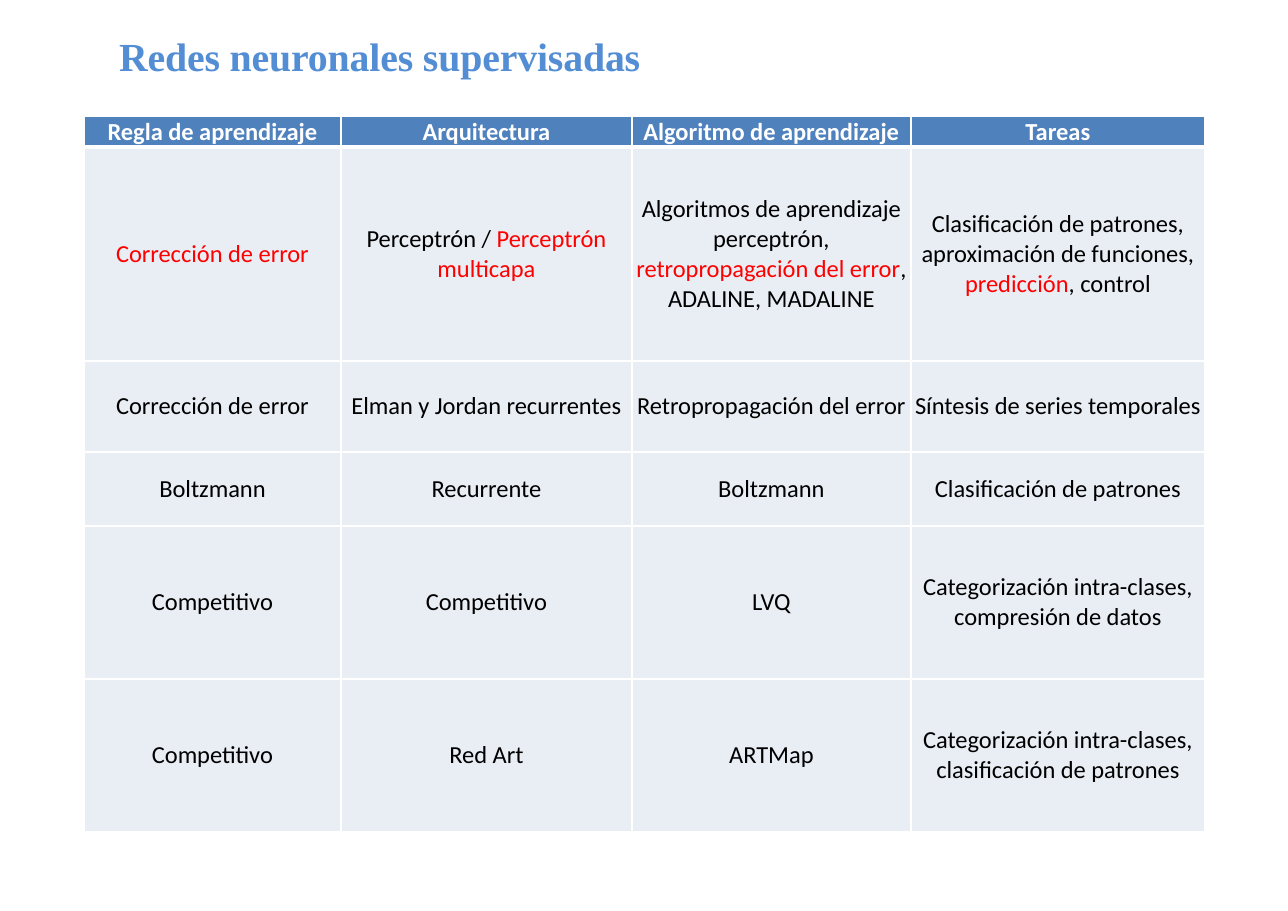
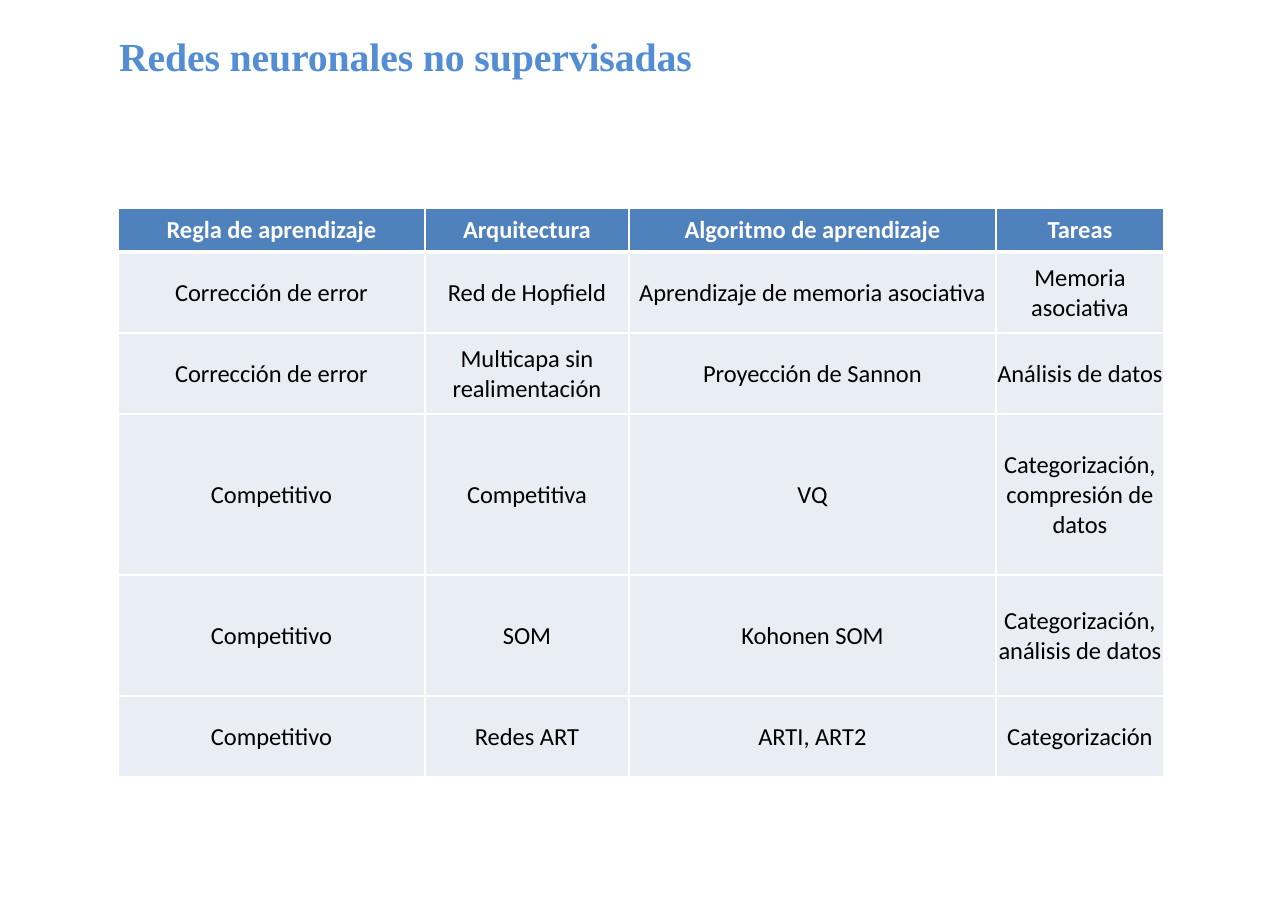
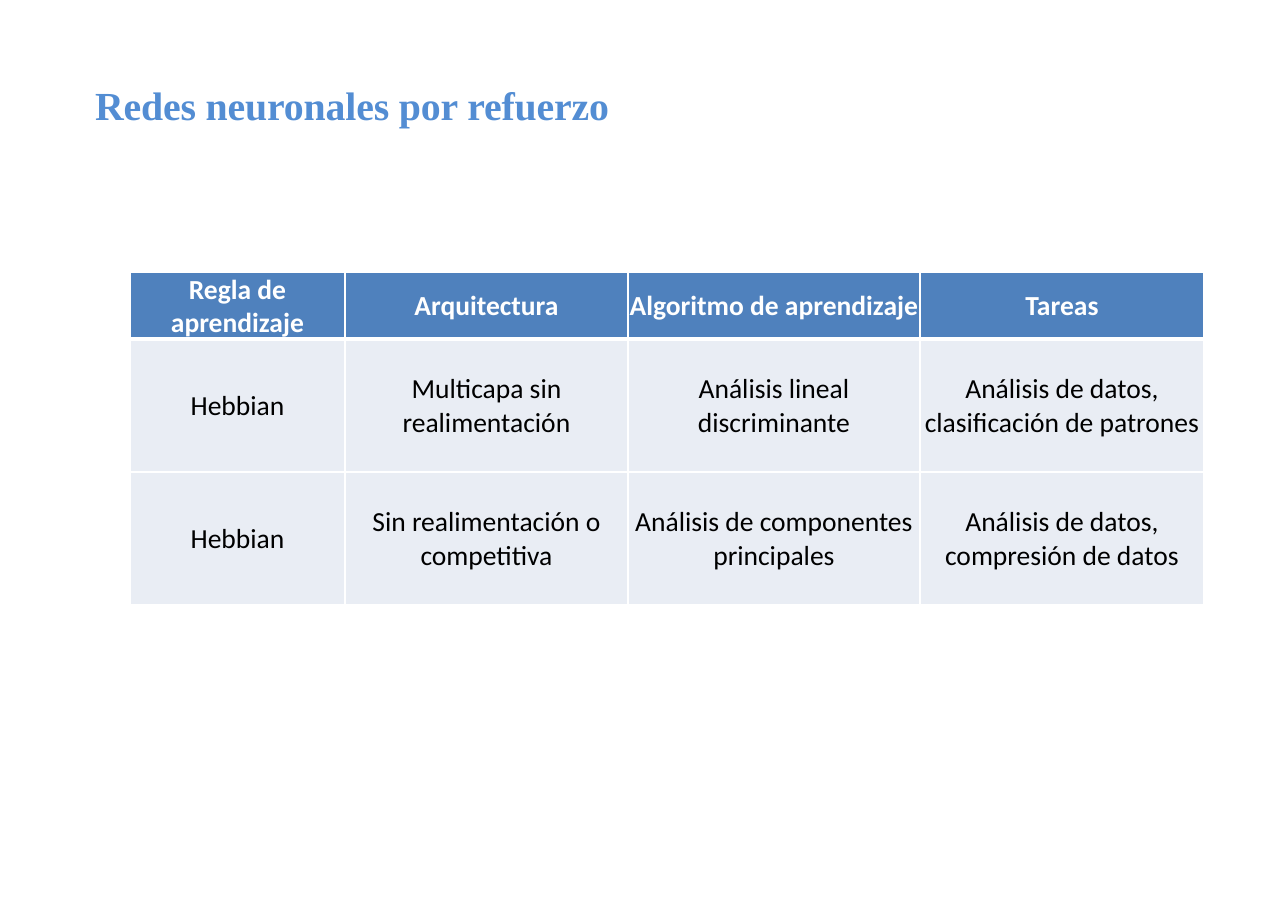
"""Build three slides with tables of neural network learning rules."""
from dataclasses import dataclass

from lxml.etree import SubElement
from pptx import Presentation
from pptx.dml.color import RGBColor as Color
from pptx.enum.text import MSO_ANCHOR as Anchor, PP_ALIGN as Align
from pptx.oxml.ns import qn
from pptx.util import Pt

SCALE = 8298
SLIDE_SIZE = (1288, 911)
TITLE_SIZE = (1047, 50)
HEADER = ("Regla de aprendizaje", "Arquitectura", "Algoritmo de aprendizaje", "Tareas")

SLIDES = [
    {
        "title": "Redes neuronales supervisadas",
        "title_at": (118, 30),
        "table_at": (84, 116),
        "columns": (257, 291, 279, 294),
        "heights": (31, 214, 91, 74, 153, 153),
        "size": 16,
        "inset": 0,
        "header_anchor": Anchor.BOTTOM,
        "rows": [
            ("*Corrección de error*",
             "Perceptrón / *Perceptrón multicapa*",
             "Algoritmos de aprendizaje perceptrón, *retropropagación del error*, ADALINE, MADALINE",
             "Clasificación de patrones, aproximación de funciones, *predicción*, control"),
            ("Corrección de error", "Elman y Jordan recurrentes",
             "Retropropagación del error", "Síntesis de series temporales"),
            ("Boltzmann", "Recurrente", "Boltzmann", "Clasificación de patrones"),
            ("Competitivo", "Competitivo", "LVQ",
             "Categorización intra-clases, compresión de datos"),
            ("Competitivo", "Red Art", "ARTMap",
             "Categorización intra-clases, clasificación de patrones"),
        ],
    },
    {
        "title": "Redes neuronales no supervisadas",
        "title_at": (118, 30),
        "table_at": (118, 208),
        "columns": (307, 204, 367, 168),
        "heights": (44, 81, 81, 161, 121, 81),
        "size": 16,
        "inset": 1,
        "header_anchor": Anchor.MIDDLE,
        "rows": [
            ("Corrección de error", "Red de Hopfield",
             "Aprendizaje de memoria asociativa", "Memoria asociativa"),
            ("Corrección de error", "Multicapa sin realimentación",
             "Proyección de Sannon", "Análisis de datos"),
            ("Competitivo", "Competitiva", "VQ", "Categorización, compresión de datos"),
            ("Competitivo", "SOM", "Kohonen SOM", "Categorización, análisis de datos"),
            ("Competitivo", "Redes ART", "ARTI, ART2", "Categorización"),
        ],
    },
    {
        "title": "Redes neuronales por refuerzo",
        "title_at": (94, 79),
        "table_at": (130, 272),
        "columns": (215, 283, 292, 284),
        "heights": (67, 133, 133),
        "size": 18,
        "inset": 1,
        "header_anchor": Anchor.MIDDLE,
        "rows": [
            ("Hebbian", "Multicapa sin realimentación",
             "Análisis lineal discriminante", "Análisis de datos, clasificación de patrones"),
            ("Hebbian", "Sin realimentación o competitiva",
             "Análisis de componentes principales", "Análisis de datos, compresión de datos"),
        ],
    },
]


@dataclass(frozen=True)
class Theme:
    """Colours, fonts and sizes shared by the slides."""
    title_font: str = "Times New Roman"
    title_size: int = 26
    title_color: str = "538DD3"
    title_spacing: str = "-10"
    table_font: str = "Calibri"
    header_fill: str = "4F81BD"
    header_text: str = "FFFFFF"
    body_fill: str = "E9EDF4"
    body_text: str = "000000"
    highlight: str = "FF0000"
    border: str = "FFFFFF"
    thin: int = 1
    thick: int = 3


THEME = Theme()


def px(*lengths):
    """Turn pixel lengths into a list of EMU."""
    return [length * SCALE for length in lengths]


def add_run(paragraph, text, font_name, size, color, bold):
    """Append one formatted run and return it."""
    run = paragraph.add_run()
    run.text = text
    run.font.name = font_name
    run.font.size = Pt(size)
    run.font.bold = bold
    run.font.color.rgb = Color.from_string(color)
    return run


def add_title(slide, text, position):
    """Add the slide title."""
    frame = slide.shapes.add_textbox(*px(*position, *TITLE_SIZE)).text_frame
    frame.word_wrap = True
    frame.margin_left, frame.margin_top, frame.margin_right, frame.margin_bottom = px(1, 2, 0, 0)
    run = add_run(frame.paragraphs[0], text, THEME.title_font,
                  THEME.title_size, THEME.title_color, True)
    run.font._element.set("spc", THEME.title_spacing)


def set_borders(cell, top, bottom):
    """Draw the four borders of a cell, with widths in points."""
    properties = cell._tc.get_or_add_tcPr()
    widths = {"lnL": THEME.thin, "lnR": THEME.thin, "lnT": top, "lnB": bottom}
    for tag, width in widths.items():
        line = SubElement(properties, qn(f"a:{tag}"), w=str(Pt(width)))
        fill = SubElement(line, qn("a:solidFill"))
        SubElement(fill, qn("a:srgbClr"), val=THEME.border)


def fill_cell(cell, text, row_index, content):
    """Style a cell and write its text, with starred parts highlighted."""
    is_header = row_index == 0
    set_borders(cell, THEME.thick if row_index == 1 else THEME.thin,
                THEME.thick if is_header else THEME.thin)
    cell.fill.solid()
    cell.fill.fore_color.rgb = Color.from_string(
        THEME.header_fill if is_header else THEME.body_fill)
    cell.vertical_anchor = content["header_anchor"] if is_header else Anchor.MIDDLE
    cell.margin_left = cell.margin_top = cell.margin_right = content["inset"] * SCALE
    cell.margin_bottom = 0
    paragraph = cell.text_frame.paragraphs[0]
    paragraph.alignment = Align.CENTER
    plain = THEME.header_text if is_header else THEME.body_text
    for index, part in enumerate(text.split("*")):
        if part:
            add_run(paragraph, part, THEME.table_font, content["size"],
                    THEME.highlight if index % 2 else plain, is_header)


def add_rule_table(slide, content):
    """Add the table of learning rules."""
    columns, heights = content["columns"], content["heights"]
    table = slide.shapes.add_table(
        len(heights), len(columns),
        *px(*content["table_at"], sum(columns), sum(heights))).table
    table.horz_banding = False
    for column, width in zip(table.columns, px(*columns)):
        column.width = width
    for row, height in zip(table.rows, px(*heights)):
        row.height = height
    for row_index, texts in enumerate([HEADER, *content["rows"]]):
        for column_index, text in enumerate(texts):
            fill_cell(table.cell(row_index, column_index), text, row_index, content)


def main():
    """Build and save the presentation."""
    presentation = Presentation()
    presentation.slide_width, presentation.slide_height = px(*SLIDE_SIZE)
    for content in SLIDES:
        slide = presentation.slides.add_slide(presentation.slide_layouts[6])
        add_title(slide, content["title"], content["title_at"])
        add_rule_table(slide, content)
    presentation.save("out.pptx")


if __name__ == "__main__":
    main()
